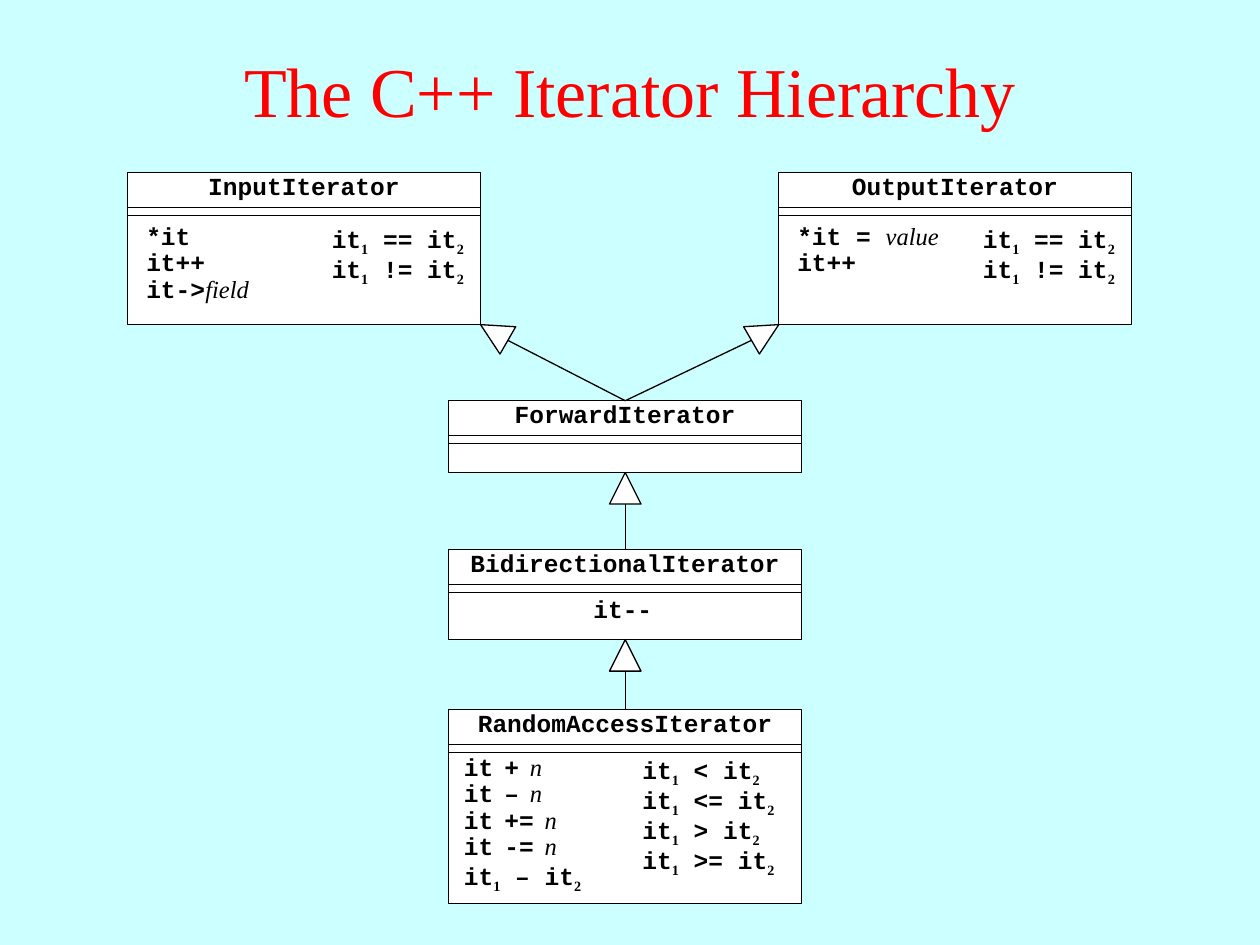
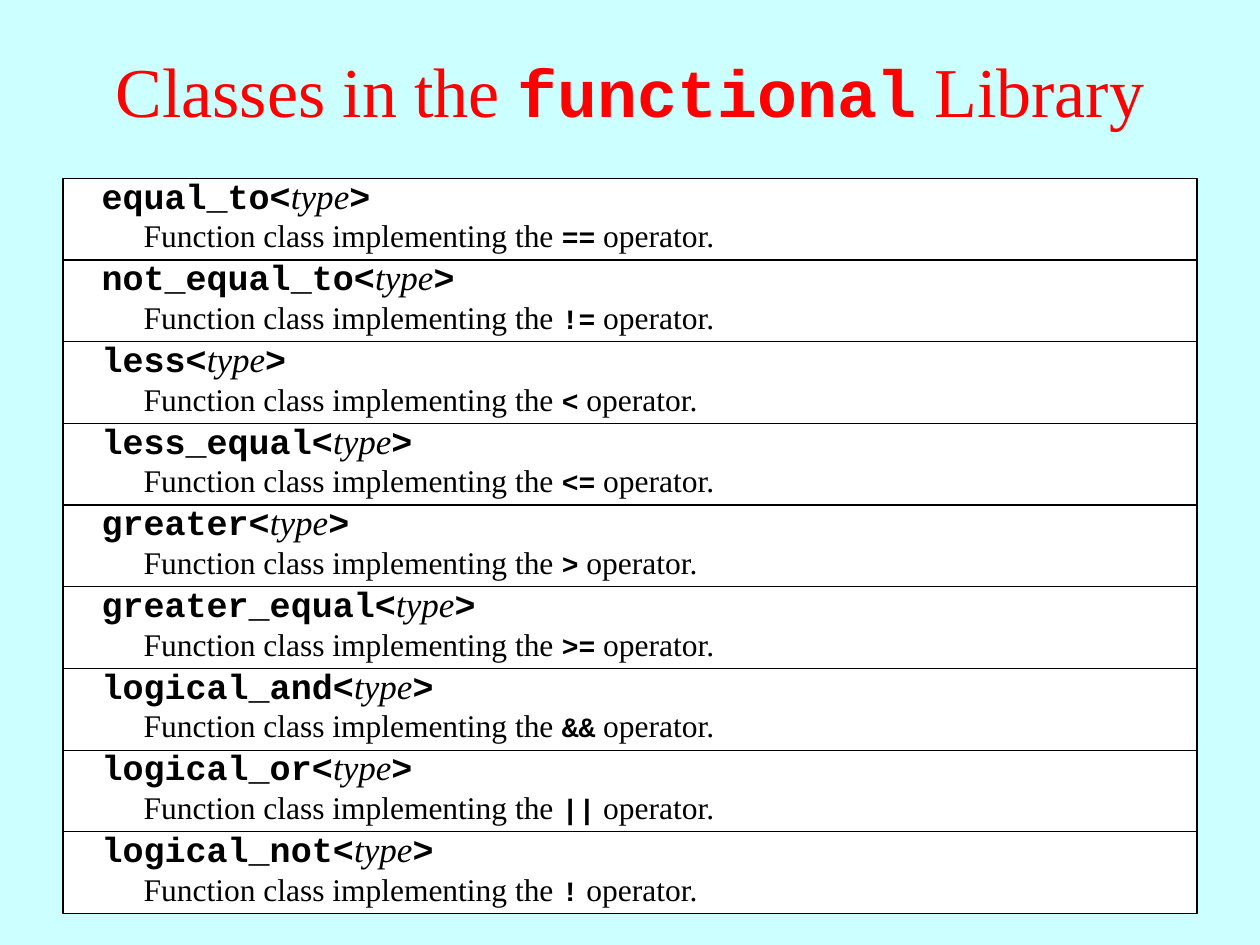
from dataclasses import dataclass
from math import cos, radians, sin

from lxml import etree
from pptx import Presentation
from pptx.dml.color import RGBColor
from pptx.enum.shapes import MSO_CONNECTOR, MSO_SHAPE
from pptx.enum.text import MSO_ANCHOR, MSO_AUTO_SIZE, PP_ALIGN
from pptx.oxml.ns import qn
from pptx.util import Pt

STRAIGHT = MSO_CONNECTOR.STRAIGHT
RECTANGLE, TRIANGLE = MSO_SHAPE.RECTANGLE, MSO_SHAPE.ISOSCELES_TRIANGLE
TOP, MIDDLE = MSO_ANCHOR.TOP, MSO_ANCHOR.MIDDLE
LEFT, CENTER = PP_ALIGN.LEFT, PP_ALIGN.CENTER
NO_FIT = MSO_AUTO_SIZE.NONE
TOP_SIDE = 0


@dataclass(frozen=True)
class Style:
    size: float
    font: str = "Times New Roman"
    bold: bool = False
    italic: bool = False
    subscript: bool = False
    color: str = "000000"


@dataclass(frozen=True)
class Theme:
    background: str = "CCFFFF"
    panel: str = "FFFFFF"
    ink: str = "000000"
    outline: float = 0.75
    rule: float = 0.5
    mono: str = "Courier New"
    red: str = "FF0000"


THEME = Theme()
TITLE = Style(40, color=THEME.red)
TITLE_CODE = Style(38, THEME.mono, bold=True, color=THEME.red)
CODE = Style(14, THEME.mono, bold=True)
CODE_GAP = Style(10.5, THEME.mono, bold=True)
INDEX = Style(14, bold=True, subscript=True)
VARIABLE = Style(14, italic=True)
ENTRY_CODE = Style(20, THEME.mono, bold=True)
ENTRY_TYPE = Style(20, italic=True)
DETAIL = Style(18)
DETAIL_CODE = Style(16, THEME.mono, bold=True)


# Content: each line of text is a list of (text, style) runs
def pair(operator):
    return [("it", CODE), ("1", INDEX), (f" {operator} it", CODE), ("2", INDEX)]


def step(operator):
    return [("it", CODE), (" ", CODE_GAP), (operator, CODE),
            (" ", CODE_GAP), ("n", VARIABLE)]


HIERARCHY_TITLE = [("The C++ Iterator Hierarchy", TITLE)]
LIBRARY_TITLE = [("Classes in the ", TITLE), ("functional", TITLE_CODE),
                 (" Library", TITLE)]

EQUALITY = [pair("=="), pair("!=")]
INPUT_LINES = [[("*it", CODE)], [("it++", CODE)],
               [("it->", CODE), ("field", VARIABLE)]]
OUTPUT_LINES = [[("*it = ", CODE), ("value", VARIABLE)], [("it++", CODE)]]
ARITHMETIC = [step(operator) for operator in ("+", "–", "+=", "-=")] + [pair("–")]
ORDERING = [pair(operator) for operator in ("<", "<=", ">", ">=")]

# name: (left, top, height, [(offset x, offset y, width, lines)])
CLASS_WIDTH = 201.6
MIDDLE_LEFT = 256.5
ITERATORS = {
    "InputIterator": (73, 98.5, 87, [(3.5, 26, 182, INPUT_LINES),
                                     (109.5, 26, 93, EQUALITY)]),
    "OutputIterator": (445, 98.5, 87, [(3.5, 26, 182, OUTPUT_LINES),
                                       (109.5, 26, 93, EQUALITY)]),
    "ForwardIterator": (MIDDLE_LEFT, 229, 41, []),
    "BidirectionalIterator": (MIDDLE_LEFT, 314, 51.5,
                              [(75.5, 24, 60, [[("it--", CODE)]])]),
    "RandomAccessIterator": (MIDDLE_LEFT, 405.5, 111,
                             [(1.5, 22.5, 108, ARITHMETIC),
                              (103.5, 22.5, 96, ORDERING)]),
}
# parent, part of its width where the arrow tip sits, tip rotation, child
INHERITANCE = [
    ("InputIterator", 1, 300, "ForwardIterator"),
    ("OutputIterator", 0, 60, "ForwardIterator"),
    ("ForwardIterator", 0.5, 0, "BidirectionalIterator"),
    ("BidirectionalIterator", 0.5, 0, "RandomAccessIterator"),
]
ARROW_SIZE = 18

FUNCTION_CLASSES = [
    ("equal_to", "=="), ("not_equal_to", "!="), ("less", "<"),
    ("less_equal", "<="), ("greater", ">"), ("greater_equal", ">="),
    ("logical_and", "&&"), ("logical_or", "||"), ("logical_not", "!"),
]
LIST_LEFT, LIST_TOP, LIST_WIDTH, LIST_HEIGHT = 36, 102, 648, 420


# Shared drawing helpers
def rgb(value):
    return RGBColor.from_string(value)


def write_lines(box, lines, align=LEFT, anchor=TOP, spacing=None):
    frame = box.text_frame
    frame.word_wrap = True
    frame.auto_size = NO_FIT
    frame.vertical_anchor = anchor
    for number, line in enumerate(lines):
        para = frame.add_paragraph() if number else frame.paragraphs[0]
        para.alignment = align
        if spacing:
            para.line_spacing = spacing
        for text, style in line:
            span = para.add_run()
            span.text = text
            font = span.font
            font.name, font.size = style.font, Pt(style.size)
            font.bold, font.italic = style.bold, style.italic
            font.color.rgb = rgb(style.color)
            if style.subscript:
                span._r.get_or_add_rPr().set("baseline", "-25000")


def add_text(page, left, top, width, height, lines, **layout):
    box = page.shapes.add_textbox(Pt(left), Pt(top), Pt(width), Pt(height))
    write_lines(box, lines, **layout)


def add_panel(page, left, top, width, height, kind=RECTANGLE):
    panel = page.shapes.add_shape(kind, Pt(left), Pt(top), Pt(width), Pt(height))
    panel.shadow.inherit = False
    panel.fill.solid()
    panel.fill.fore_color.rgb = rgb(THEME.panel)
    panel.line.color.rgb = rgb(THEME.ink)
    panel.line.width = Pt(THEME.outline)
    return panel


def add_line(page, start_x, start_y, end_x, end_y, weight=THEME.outline):
    line = page.shapes.add_connector(STRAIGHT, Pt(start_x), Pt(start_y),
                                     Pt(end_x), Pt(end_y))
    line.line.color.rgb = rgb(THEME.ink)
    line.line.width = Pt(weight)
    etree.SubElement(line._element.spPr, qn("a:effectLst"))
    return line


def add_page(deck, title):
    page = deck.slides.add_slide(deck.slide_layouts[5])
    box = page.shapes.title
    box.left, box.top, box.width, box.height = Pt(0), Pt(6), Pt(720), Pt(90)
    write_lines(box, [title], align=CENTER, anchor=MIDDLE)
    return page


# Slide 1: class diagram
def add_iterator(page, name):
    left, top, height, members = ITERATORS[name]
    panel = add_panel(page, left, top, CLASS_WIDTH, height)
    for offset in (20, 24.5):
        add_line(page, left, top + offset, left + CLASS_WIDTH, top + offset,
                 THEME.rule)
    add_text(page, left, top - 2.5, CLASS_WIDTH, 23, [[(name, CODE)]],
             align=CENTER, spacing=0.9)
    for offset_x, offset_y, width, lines in members:
        add_text(page, left + offset_x, top + offset_y, width,
                 8 + 15 * len(lines), lines, spacing=0.9)
    return panel


def add_inheritance(page, parent, part, rotation, child, panels):
    left, top, height, _ = ITERATORS[parent]
    tip_x, tip_y = left + part * CLASS_WIDTH, top + height
    back_x, back_y = -sin(radians(rotation)), cos(radians(rotation))
    child_left, child_top = ITERATORS[child][:2]
    line = add_line(page, tip_x + ARROW_SIZE * back_x, tip_y + ARROW_SIZE * back_y,
                    child_left + CLASS_WIDTH / 2, child_top)
    line.end_connect(panels[child], TOP_SIDE)
    half = ARROW_SIZE / 2
    head = add_panel(page, tip_x + half * back_x - half, tip_y + half * back_y - half,
                     ARROW_SIZE, ARROW_SIZE, TRIANGLE)
    head.rotation = rotation


def build_hierarchy(deck):
    page = add_page(deck, HIERARCHY_TITLE)
    panels = {name: add_iterator(page, name) for name in ITERATORS}
    for relation in INHERITANCE:
        add_inheritance(page, *relation, panels)


# Slide 2: ruled list of function classes
def build_library(deck):
    page = add_page(deck, LIBRARY_TITLE)
    add_panel(page, LIST_LEFT, LIST_TOP, LIST_WIDTH, LIST_HEIGHT)
    row_height = LIST_HEIGHT / len(FUNCTION_CLASSES)
    for row, (name, operator) in enumerate(FUNCTION_CLASSES):
        top = LIST_TOP + row * row_height
        if row:
            add_line(page, LIST_LEFT, top, LIST_LEFT + LIST_WIDTH, top)
        add_text(page, 51, top - 6, 618, 31,
                 [[(f"{name}<", ENTRY_CODE), ("type", ENTRY_TYPE), (">", ENTRY_CODE)]])
        add_text(page, 75, top + 18, 600, 29,
                 [[("Function class implementing the ", DETAIL),
                   (operator, DETAIL_CODE), (" operator.", DETAIL)]])


def main():
    deck = Presentation()
    deck.slide_width, deck.slide_height = Pt(720), Pt(540)
    backdrop = deck.slide_master.background.fill
    backdrop.solid()
    backdrop.fore_color.rgb = rgb(THEME.background)
    build_hierarchy(deck)
    build_library(deck)
    deck.save("out.pptx")


if __name__ == "__main__":
    main()
